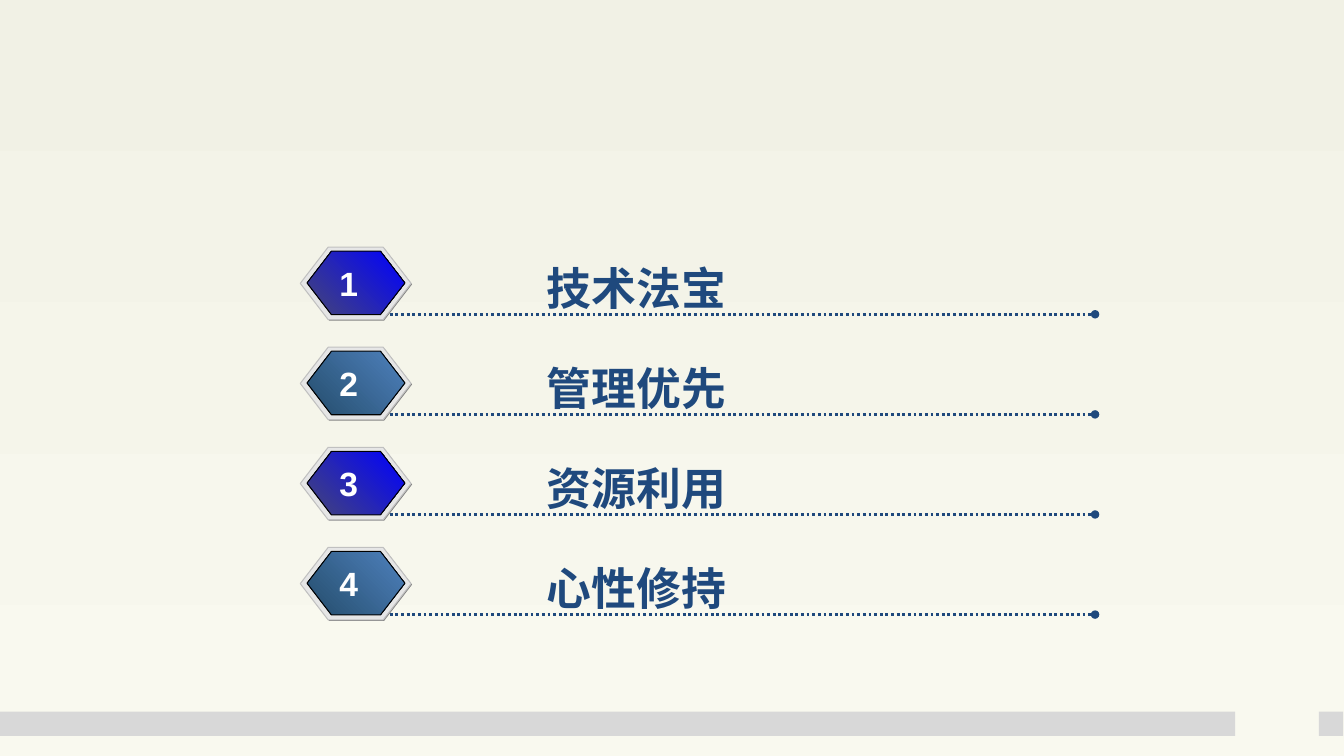
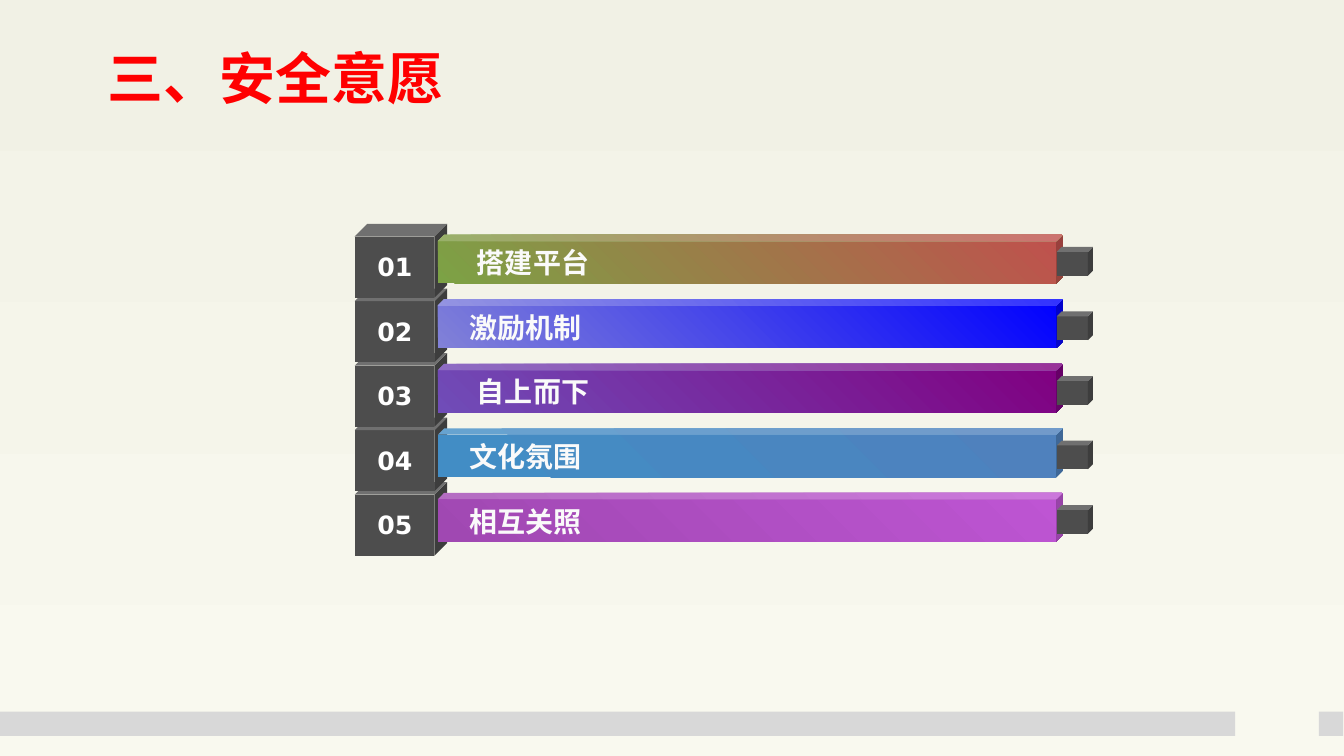
"""Build two slides: a four-item agenda and a five-level list of safety measures."""
from lxml import etree
from pptx import Presentation
from pptx.dml.color import RGBColor
from pptx.enum.dml import MSO_LINE
from pptx.enum.shapes import MSO_CONNECTOR, MSO_SHAPE
from pptx.enum.text import MSO_ANCHOR, PP_ALIGN
from pptx.oxml.ns import qn
from pptx.util import Pt

RECT, HEXAGON, CUBE = MSO_SHAPE.RECTANGLE, MSO_SHAPE.HEXAGON, MSO_SHAPE.CUBE
STRAIGHT, DOTTED = MSO_CONNECTOR.STRAIGHT, MSO_LINE.ROUND_DOT
LEFT, CENTER, MIDDLE = PP_ALIGN.LEFT, PP_ALIGN.CENTER, MSO_ANCHOR.MIDDLE
SLIDE_W, SLIDE_H = 960.5, 540
CJK_FONT = "Noto Sans CJK SC"
BAND, NAVY, WHITE, OFF_WHITE, RED, CHARCOAL = "D8D8D8", "1F497D", "FFFFFF", "FAFAFA", "FF0000", "4D4D4D"
rgb = RGBColor.from_string


def add_figure(slide, kind, box, colors, adjust=None, outline=None, angle=45):
    """Add a preset shape filled with one colour or a two-colour gradient."""
    figure = slide.shapes.add_shape(kind, *map(Pt, box))
    figure.shadow.inherit = False
    if len(colors) == 1:
        figure.fill.solid()
        figure.fill.fore_color.rgb = rgb(colors[0])
    else:
        figure.fill.gradient()
        figure.fill.gradient_angle = angle
        for stop, color in zip(figure.fill.gradient_stops, colors):
            stop.color.rgb = rgb(color)
    if adjust is not None:
        figure.adjustments[0] = adjust
    if outline:
        figure.line.color.rgb = rgb(outline)
        figure.line.width = Pt(0.75)
    else:
        figure.line.fill.background()
    return figure


def add_label(slide, box, text, size, color, font="Arial", align=LEFT, wrap=True):
    """Add one bold line of text, centred vertically in its box."""
    frame = slide.shapes.add_textbox(*map(Pt, box)).text_frame
    frame.word_wrap = wrap
    frame.vertical_anchor = MIDDLE
    paragraph = frame.paragraphs[0]
    paragraph.alignment = align
    run = paragraph.add_run()
    run.text = text
    run.font.name = font
    run.font.size = Pt(size)
    run.font.bold = True
    run.font.color.rgb = rgb(color)
    etree.SubElement(run.font._element, qn("a:ea"), typeface=CJK_FONT)


prs = Presentation()
prs.slide_width, prs.slide_height = Pt(SLIDE_W), Pt(SLIDE_H)
blank = prs.slide_layouts[6]
for placeholder in list(blank.placeholders):
    blank.shapes.element.remove(placeholder.element)
agenda = prs.slides.add_slide(blank)
measures = prs.slides.add_slide(blank)

backdrop = [
    add_figure(agenda, RECT, (0, 0, SLIDE_W, SLIDE_H), ("F1F1E5", "F9F9EF"), angle=270),
    add_figure(agenda, RECT, (0, 508.3, 882.7, 17.3), (BAND,)),
    add_figure(agenda, RECT, (942.5, 508.3, 17.5, 17.3), (BAND,)),
]
for part in backdrop:
    blank.shapes.element.append(part.element)

BLUE_BADGE, STEEL_BADGE = ("474776", "0000FF"), ("244D6C", "4F81BD")
topics = [
    ("技术法宝", BLUE_BADGE),
    ("管理优先", STEEL_BADGE),
    ("资源利用", BLUE_BADGE),
    ("心性修持", STEEL_BADGE),
]
for index, (topic, badge) in enumerate(topics):
    top = 176.5 + index * 71.5
    add_figure(agenda, HEXAGON, (215.3, top + 0.7, 79.2, 51.8), ("808080",), 0.385)
    add_figure(agenda, HEXAGON, (214.6, top, 79.2, 51.8), ("E6E6E6",), 0.385, "C0C0C0")
    add_figure(agenda, HEXAGON, (219.4, top + 2.9, 70, 45.4), badge, 0.385, "000000")
    rule = agenda.shapes.add_connector(
        STRAIGHT, Pt(278.6), Pt(top + 48), Pt(782.6), Pt(top + 48))
    rule.line.color.rgb = rgb(NAVY)
    rule.line.width = Pt(2)
    rule.line.dash_style = DOTTED
    properties = rule.element.spPr
    etree.SubElement(properties.find(qn("a:ln")), qn("a:tailEnd"), type="oval")
    etree.SubElement(properties, qn("a:effectLst"))
    add_label(agenda, (383.8, top + 5.8, 142.6, 46), topic, 32, NAVY, wrap=False)
    add_label(agenda, (235.4, top + 7.8, 27.4, 36), str(index + 1), 24, WHITE,
              align=CENTER, wrap=False)

levels = [
    ("搭建平台", ("7CA245", "C0504D"), 5.5),
    ("激励机制", ("8181D7", "0000FF"), 0),
    ("自上而下", ("704CB8", "800080"), 5.5),
    ("文化氛围", ("428DC5", "4F81BD"), 0),
    ("相互关照", ("A048B2", "BE55D3"), 0),
]
for index, (level, shades, indent) in reversed(list(enumerate(levels))):
    top = 160 + index * 46.1
    add_figure(measures, CUBE, (253.5, top, 66, 52.6), (CHARCOAL,), 0.171)
    add_figure(measures, CUBE, (313, top + 7.7, 446.4, 34.8), shades, 0.129)
    add_label(measures, (328.3 + indent, top + 11.8, 360, 31.7), level, 20, OFF_WHITE)
    add_label(measures, (254.2, top + 15.8, 56, 29), f"{index + 1:02}", 18, WHITE,
              font="DejaVu Sans", align=CENTER)
    add_figure(measures, CUBE, (755.3, top + 16.4, 25.7, 20.5), (CHARCOAL,), 0.171)
add_label(measures, (69.8, 28, 785.5, 54.7), "三、安全意愿", 40, RED, font=CJK_FONT)

prs.save("out.pptx")
